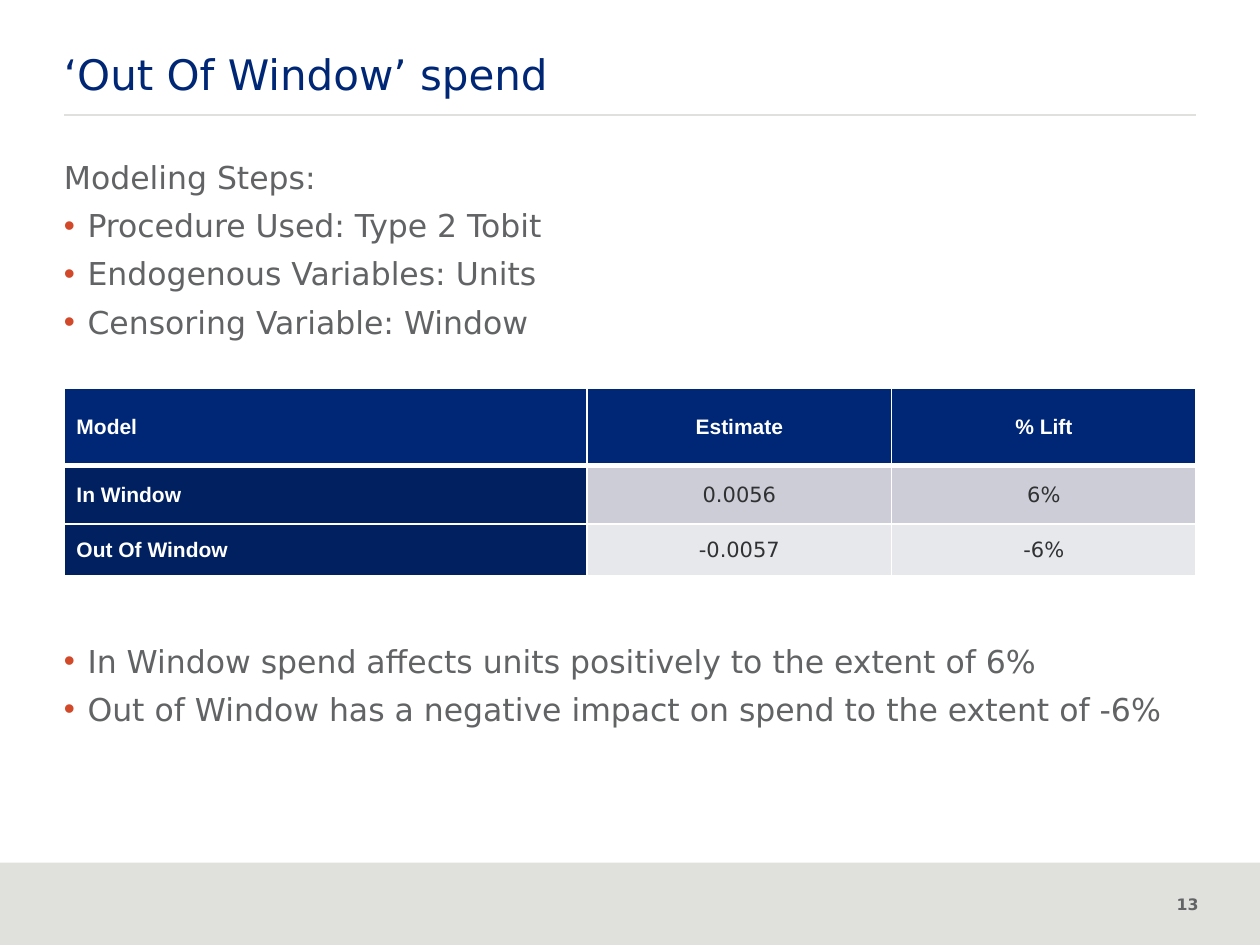
from lxml import etree
from pptx import Presentation
from pptx.dml.color import RGBColor
from pptx.enum import shapes, text
from pptx.oxml import ns
from pptx.util import Pt

COLORS = {
    "navy": "002776", "deep": "002060", "grey": "616365", "dark": "303132",
    "band": "E0E1DD", "white": "FFFFFF", "bullet": "D2492A",
    "row_dark": "CCCDD6", "row_light": "E7E8EC",
}
SANS, ARIAL = "DejaVu Sans", "Arial"
LEFT, WIDTH = 36.5, 647
INDENT = 13.5

HEADING = ["Modeling Steps:"]
STEPS = [
    "Procedure Used: Type 2 Tobit",
    "Endogenous Variables: Units",
    "Censoring Variable: Window",
]
FINDINGS = [
    "In Window spend affects units positively to the extent of 6%",
    "Out of Window has a negative impact on spend to the extent of -6%",
]
ROWS = [
    ["Model", "Estimate", "% Lift"],
    ["In Window", "0.0056", "6%"],
    ["Out Of Window", "-0.0057", "-6%"],
]


def color(name):
    return RGBColor.from_string(COLORS[name])


def set_all(target, values):
    for name, value in values.items():
        setattr(target, name, value)


def place(box, left, top, width, height):
    set_all(box, {"left": Pt(left), "top": Pt(top),
                  "width": Pt(width), "height": Pt(height)})


def write(para, words, tint, **font):
    span = para.add_run()
    span.text = words
    set_all(span.font, font)
    span.font.color.rgb = color(tint)


def child(parent, tag, **attributes):
    return etree.SubElement(parent, ns.qn(tag), attributes)


def add_footer(page):
    band = page.shapes.add_shape(shapes.MSO_SHAPE.RECTANGLE, 0, Pt(493), Pt(720), Pt(47))
    band.shadow.inherit = False
    band.fill.solid()
    band.fill.fore_color.rgb = color("band")
    band.line.fill.background()

    box = page.shapes.add_textbox(Pt(647), Pt(507.5), Pt(45), Pt(29))
    box.text_frame.word_wrap = True
    para = box.text_frame.paragraphs[0]
    para.alignment = text.PP_ALIGN.RIGHT
    write(para, "13", "grey", name=SANS, size=Pt(9), bold=True)


def add_rule(page):
    rule = page.shapes.add_connector(
        shapes.MSO_CONNECTOR.STRAIGHT, Pt(LEFT), Pt(65.8), Pt(LEFT + WIDTH), Pt(65.8))
    rule.line.color.rgb = color("band")
    rule.line.width = Pt(0.75)
    child(rule._element.spPr, "a:effectLst")


def prepare_frame(box, right=0, bottom=0):
    set_all(box.text_frame, {
        "margin_left": 0, "margin_top": 0,
        "margin_right": Pt(right), "margin_bottom": Pt(bottom),
        "word_wrap": True, "auto_size": text.MSO_AUTO_SIZE.NONE,
        "vertical_anchor": text.MSO_ANCHOR.TOP,
    })
    return box.text_frame


def add_title(page, words):
    title = page.shapes.title
    place(title, LEFT, 27.5, WIDTH, 50)
    para = prepare_frame(title).paragraphs[0]
    para.alignment = text.PP_ALIGN.LEFT
    write(para, words, "navy", name=SANS, size=Pt(24))


def set_bullet(para, bulleted):
    properties = para._p.get_or_add_pPr()
    indent = Pt(INDENT) if bulleted else 0
    properties.set("marL", str(indent))
    properties.set("indent", str(-indent))
    if bulleted:
        tint = child(properties, "a:buClr")
        child(tint, "a:srgbClr", val=COLORS["bullet"])
        child(properties, "a:buFont", typeface=ARIAL)
        child(properties, "a:buChar", char="•")
    else:
        child(properties, "a:buNone")


def add_body(page):
    body = page.placeholders[1]
    place(body, LEFT, 88, 648, 356)
    frame = prepare_frame(body, right=7.2, bottom=3.6)
    for index, words in enumerate(HEADING + STEPS + FINDINGS):
        para = frame.add_paragraph() if index else frame.paragraphs[0]
        # The first finding leaves room for the table above it
        gap = 169.7 if words == FINDINGS[0] else 3.5
        set_all(para, {"alignment": text.PP_ALIGN.LEFT, "line_spacing": Pt(24),
                       "space_before": Pt(gap)})
        set_bullet(para, words not in HEADING)
        write(para, words, "grey", name=SANS, size=Pt(18))


def set_borders(cell, widths):
    properties = cell._tc.get_or_add_tcPr()
    for index, (side, width) in enumerate(widths.items()):
        line = etree.Element(ns.qn("a:ln" + side), {"w": str(Pt(width))})
        child(child(line, "a:solidFill"), "a:srgbClr", val=COLORS["white"])
        properties.insert(index, line)


def add_table(page):
    table = page.shapes.add_table(
        3, 3, Pt(LEFT), Pt(222), Pt(WIDTH), Pt(107)).table
    set_all(table, {"first_row": False, "horz_banding": False})
    for column, width in zip(table.columns, (299, 174, 174)):
        column.width = Pt(width)
    for row, height in zip(table.rows, (44, 33.5, 29.5)):
        row.height = Pt(height)

    for r, labels in enumerate(ROWS):
        for c, words in enumerate(labels):
            cell = table.cell(r, c)
            is_value = r > 0 and c > 0
            if is_value:
                fill = ("row_dark", "row_light")[r - 1]
                set_all(cell, dict.fromkeys(
                    ("margin_left", "margin_right", "margin_top"), Pt(0.75)))
                cell.margin_bottom = 0
            else:
                fill = "deep" if r else "navy"
            cell.vertical_anchor = text.MSO_ANCHOR.MIDDLE
            cell.fill.solid()
            cell.fill.fore_color.rgb = color(fill)
            set_borders(cell, {"L": 1, "R": 1, "T": 3 if r == 1 else 1,
                               "B": 1 if r else 3})
            para = cell.text_frame.paragraphs[0]
            para.alignment = text.PP_ALIGN.CENTER if c else text.PP_ALIGN.LEFT
            write(para, words, "dark" if is_value else "white",
                  name=SANS if is_value else ARIAL, size=Pt(12), bold=not is_value)


def main():
    deck = Presentation()
    set_all(deck, {"slide_width": Pt(720), "slide_height": Pt(540)})
    page = deck.slides.add_slide(deck.slide_layouts[1])
    add_footer(page)
    add_rule(page)
    add_title(page, "‘Out Of Window’ spend")
    add_body(page)
    add_table(page)
    deck.save("out.pptx")


if __name__ == "__main__":
    main()
